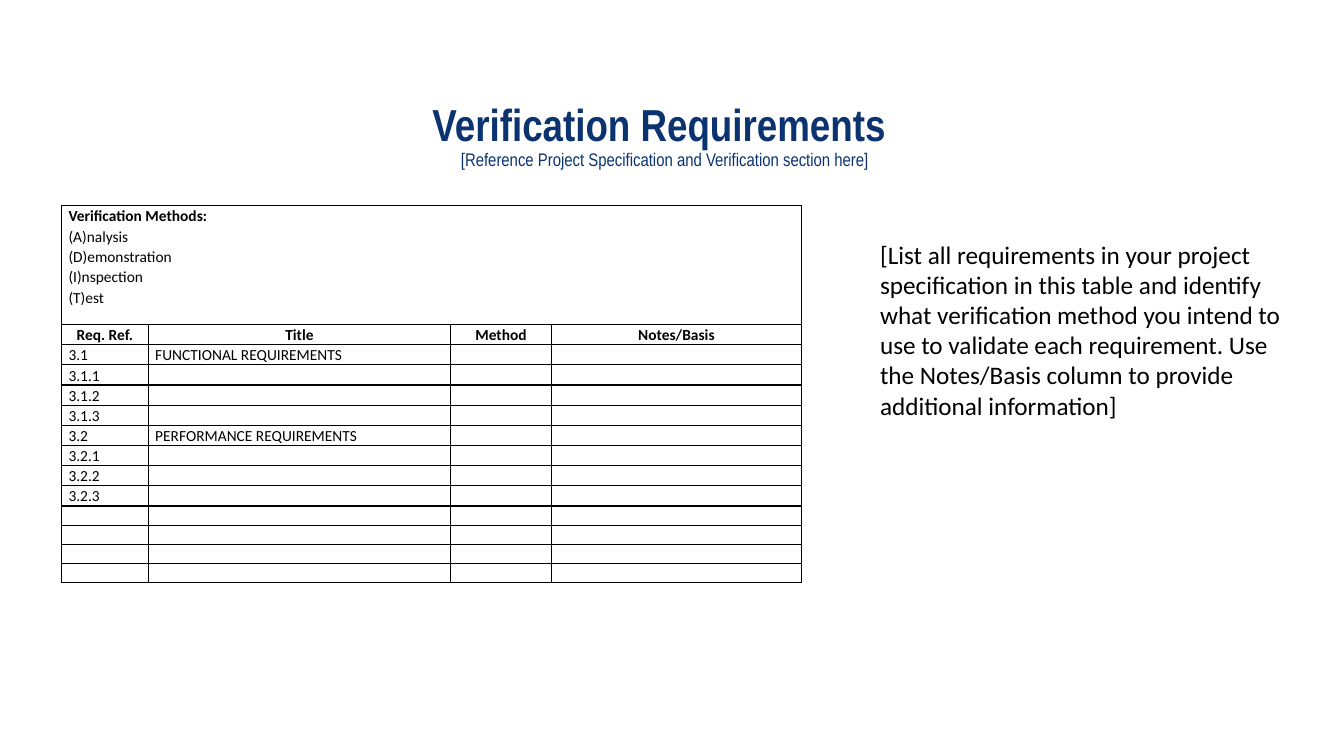
from lxml.etree import SubElement
from pptx import Presentation
from pptx.dml.color import RGBColor
from pptx.enum.text import MSO_ANCHOR, PP_ALIGN
from pptx.oxml.ns import qn
from pptx.util import Inches, Pt

NAVY, BLACK = "0A3370", "000000"
TITLE = "Verification Requirements "
REFER = "[Reference Project Specification and Verification section here]"
NOTE = ("[List all requirements in your project specification in this table and "
        "identify what verification method you intend to use to validate each "
        "requirement. Use the Notes/Basis column to provide additional information]")
METHODS = ["Verification Methods:", "(A)nalysis", "(D)emonstration",
           "(I)nspection", "(T)est"]
HEADS = ["Req. Ref.", "Title", "Method", "Notes/Basis"]
GROUPS = [("3.1", "FUNCTIONAL REQUIREMENTS"), ("3.2", "PERFORMANCE REQUIREMENTS")]
SUBS, SPARE = 3, 4
COLS = [0.86, 3, 1, 2.48]
TOP_H, TEXT_H, SPARE_H = 1.18, 0.2, 0.19


def color(code):
    return RGBColor.from_string(code)


def style(font, code, **look):
    font.color.rgb = color(code)
    for key, value in look.items():
        setattr(font, key, value)


def write(par, text, size, bold=False, name="Calibri", code=BLACK):
    run = par.add_run()
    run.text = text
    style(run.font, code, size=Pt(size), bold=bold, name=name)


def border(cell):
    props = cell._tc.get_or_add_tcPr()
    for side in ("lnL", "lnR", "lnT", "lnB"):
        line = SubElement(props, qn(f"a:{side}"), w=str(Pt(1)))
        fill = SubElement(line, qn("a:solidFill"))
        SubElement(fill, qn("a:srgbClr"), val=BLACK)


def fill_cell(cell, lines, bold=False, align=PP_ALIGN.LEFT):
    """Write the lines, with the first one bold if there are several."""
    border(cell)
    cell.fill.background()
    cell.margin_left = cell.margin_right = Inches(0.07)
    cell.margin_top = cell.margin_bottom = 0
    frame = cell.text_frame
    for i, text in enumerate(lines):
        par = frame.add_paragraph() if i else frame.paragraphs[0]
        par.alignment, par.line_spacing = align, 1.07
        if text:
            write(par, text, 11, bold or (len(lines) > 1 and i == 0))
        else:
            SubElement(par._p, qn("a:endParaRPr"), sz="1000")


def add_title(slide):
    title = slide.shapes.title
    title.left, title.top, title.width, title.height = map(
        Inches, (0.84, 0.96, 11.5, 0.79))
    frame = title.text_frame
    frame.vertical_anchor = MSO_ANCHOR.MIDDLE
    par = frame.paragraphs[0]
    par.alignment, par.line_spacing = PP_ALIGN.CENTER, 0.9
    write(par, TITLE, 32, True, "Arial Narrow", NAVY)
    par.add_line_break()
    SubElement(par._p.find(qn("a:br")), qn("a:rPr"), sz="1300")
    write(par, REFER, 13, False, "Arial Narrow", NAVY)


def add_grid(slide):
    rows = [HEADS]
    for ref, name in GROUPS:
        rows.append([ref, name, "", ""])
        rows += [[f"{ref}.{n}", "", "", ""] for n in range(1, SUBS + 1)]
    highs = [TOP_H] + [TEXT_H] * len(rows) + [SPARE_H] * SPARE
    rows += [[""] * len(COLS) for _ in range(SPARE)]
    table = slide.shapes.add_table(
        len(highs), len(COLS), Inches(0.61), Inches(2.04),
        Inches(sum(COLS)), Inches(sum(highs))).table
    table.first_row = table.horz_banding = False
    for col, width in zip(table.columns, COLS):
        col.width = Inches(width)
    for row, high in zip(table.rows, highs):
        row.height = Inches(high)
    table.cell(0, 0).merge(table.cell(0, len(COLS) - 1))
    for c in range(len(COLS)):
        fill_cell(table.cell(0, c), [""] if c else METHODS)
    for r, texts in enumerate(rows, 1):
        head = r == 1
        for c, text in enumerate(texts):
            fill_cell(table.cell(r, c), [text], head,
                      PP_ALIGN.CENTER if head else PP_ALIGN.LEFT)


def add_note(slide):
    box = slide.shapes.add_textbox(*map(Inches, (8.63, 2.32, 4.28, 1.92)))
    box.text_frame.word_wrap = True
    write(box.text_frame.paragraphs[0], NOTE, 18)


def main():
    deck = Presentation()
    deck.slide_width, deck.slide_height = Inches(13.33), Inches(7.5)
    slide = deck.slides.add_slide(deck.slide_layouts[5])
    add_title(slide)
    add_note(slide)
    add_grid(slide)
    deck.save("out.pptx")


if __name__ == "__main__":
    main()
